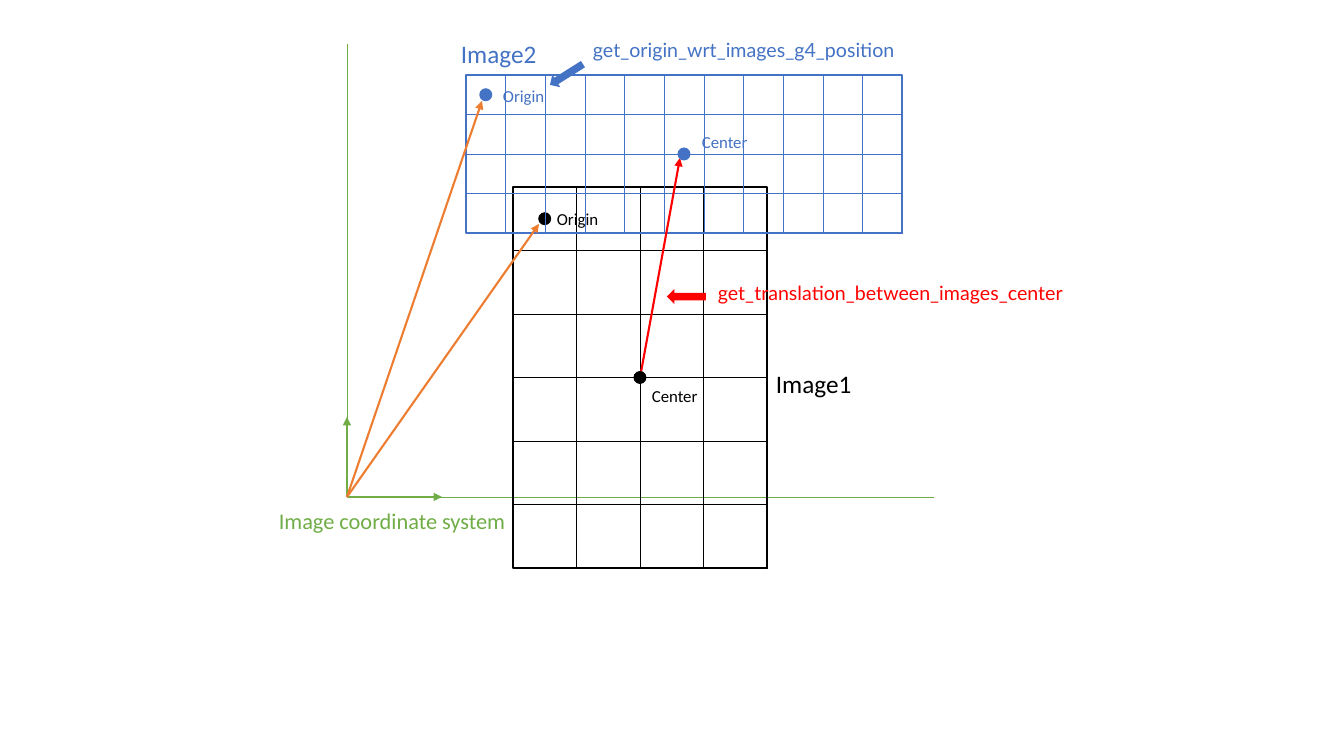
from collections import namedtuple
from itertools import product

from lxml import etree
from pptx import Presentation
from pptx import util as u
from pptx.dml.color import RGBColor
from pptx.enum import shapes, text
from pptx.oxml import ns

SCALE = 914400 / 100.8
BLACK = RGBColor(0x00, 0x00, 0x00)
BLUE = RGBColor(0x44, 0x72, 0xC4)
GREEN = RGBColor(0x70, 0xAD, 0x47)
ORANGE = RGBColor(0xED, 0x7D, 0x31)
RED = RGBColor(0xFF, 0x00, 0x00)
THIN, THICK, DOT = 0.25, 1.5, 13

Box = namedtuple("Box", "left top width height")


def emu(pixels):
    """Turn pixels into EMU."""
    return u.Emu(round(pixels * SCALE))


def apply(target, values):
    """Set every attribute named in values on target."""
    for name, value in values.items():
        setattr(target, name, value)


def within(box, left, top, width, height):
    """Return a box placed relative to the corner of another."""
    return Box(box.left + left, box.top + top, width, height)


def add_preset(slide, kind, box, fill=None, line=None, weight=THIN, rotation=0):
    """Add a preset shape with a plain fill or outline."""
    shape = slide.shapes.add_shape(kind, *map(emu, box))
    shape.shadow.inherit = False
    shape.rotation = rotation
    for part, color in ((shape.fill, fill), (shape.line.fill, line)):
        if color is None:
            part.background()
        else:
            part.solid()
            part.fore_color.rgb = color
    if line is not None:
        shape.line.width = u.Pt(weight)


def add_vector(slide, box, start, end, color, weight=THICK, arrow=True):
    """Add a straight line between two points relative to the box."""
    ends = [emu(corner + offset) for point in (start, end)
            for corner, offset in zip(box, point)]
    vector = slide.shapes.add_connector(shapes.MSO_CONNECTOR.STRAIGHT, *ends)
    vector.line.color.rgb = color
    vector.line.width = u.Pt(weight)
    if arrow:
        outline = vector.line._get_or_add_ln()
        etree.SubElement(outline, ns.qn("a:tailEnd"), type="triangle")
    etree.SubElement(vector._element.spPr, ns.qn("a:effectLst"))


def add_label(slide, box, wording, size, color, font="Calibri"):
    """Add one line of text that does not wrap."""
    label = slide.shapes.add_textbox(*map(emu, box))
    apply(label.text_frame, {"word_wrap": False,
                             "auto_size": text.MSO_AUTO_SIZE.SHAPE_TO_FIT_TEXT})
    run = label.text_frame.paragraphs[0].add_run()
    run.text = wording
    apply(run.font, {"name": font, "size": u.Pt(size)})
    run.font.color.rgb = color


def draw_axes(slide, box):
    """Draw both axes, their unit arrows and the system's name."""
    corner = (0, box.height)
    for end, unit in (((box.width, box.height), (95, box.height)),
                      ((0, 0), (0, box.height - 80))):
        add_vector(slide, box, corner, end, GREEN, THIN, False)
        add_vector(slide, box, corner, unit, GREEN)
    add_label(slide, within(box, -78, box.height + 5, 250, 37),
              "Image coordinate system", 16, GREEN)


def draw_point(slide, box, x, y, color):
    """Draw a dot centred on a point of the box."""
    dot = within(box, x - DOT / 2, y - DOT / 2, DOT, DOT)
    add_preset(slide, shapes.MSO_SHAPE.OVAL, dot, fill=color)


def draw_pixel_grid(slide, box, columns, rows, color):
    """Draw an image as pixels with an outline and its origin dot."""
    width, height = box.width / columns, box.height / rows
    for row, column in product(range(rows), range(columns)):
        pixel = within(box, column * width, row * height, width, height)
        add_preset(slide, shapes.MSO_SHAPE.RECTANGLE, pixel, line=color)
    add_preset(slide, shapes.MSO_SHAPE.RECTANGLE, box, line=color, weight=THICK)
    draw_point(slide, box, width / 2, height / 2, color)


def draw_vectors(slide, box):
    """Draw the vectors to both origins and between both centers."""
    corner = (0, box.height)
    for start, end, color in ((corner, (192, 180), ORANGE),
                              (corner, (135, 57), ORANGE),
                              ((293, 334), (333, 114), RED)):
        add_vector(slide, box, start, end, color)


def draw_image_labels(slide, box, name, places, color):
    """Mark the image's center and label the image, origin and center."""
    draw_point(slide, box, box.width / 2, box.height / 2, color)
    for wording, size, place in zip((name, "Origin", "Center"), (18, 12, 12), places):
        add_label(slide, within(box, *place), wording, size, color)


def draw_callout(slide, box, wording, color, pointer, rotation):
    """Draw a function name with a block arrow beside it."""
    add_label(slide, box, wording, 14, color, "Lato")
    add_preset(slide, shapes.MSO_SHAPE.RIGHT_ARROW, within(box, *pointer, 39, 15),
               fill=color, rotation=rotation)


def main():
    """Build the slide and save it."""
    deck = Presentation()
    apply(deck, {"slide_width": emu(1344), "slide_height": emu(756)})
    slide = deck.slides.add_slide(deck.slide_layouts[6])
    axes = Box(347, 44, 587, 453)
    image1 = Box(513, 187, 254, 381)
    image2 = Box(466, 75, 436, 158)
    draw_axes(slide, axes)
    draw_pixel_grid(slide, image1, 4, 6, BLACK)
    draw_pixel_grid(slide, image2, 11, 4, BLUE)
    draw_vectors(slide, axes)
    draw_image_labels(slide, image1, "Image1", (
        (253, 176, 97, 40), (34, 17, 62, 30), (129, 194, 67, 30)), BLACK)
    draw_image_labels(slide, image2, "Image2", (
        (-15, -42, 97, 40), (27, 6, 69, 30), (226, 52, 67, 30)), BLUE)
    draw_callout(slide, Box(708, 276, 377, 34),
                 "get_translation_between_images_center", RED, (-41, 13), 180)
    draw_callout(slide, Box(583, 33, 335, 34),
                 "get_origin_wrt_images_g4_position", BLUE, (-36, 34), 147.8)
    deck.save("out.pptx")


main()
